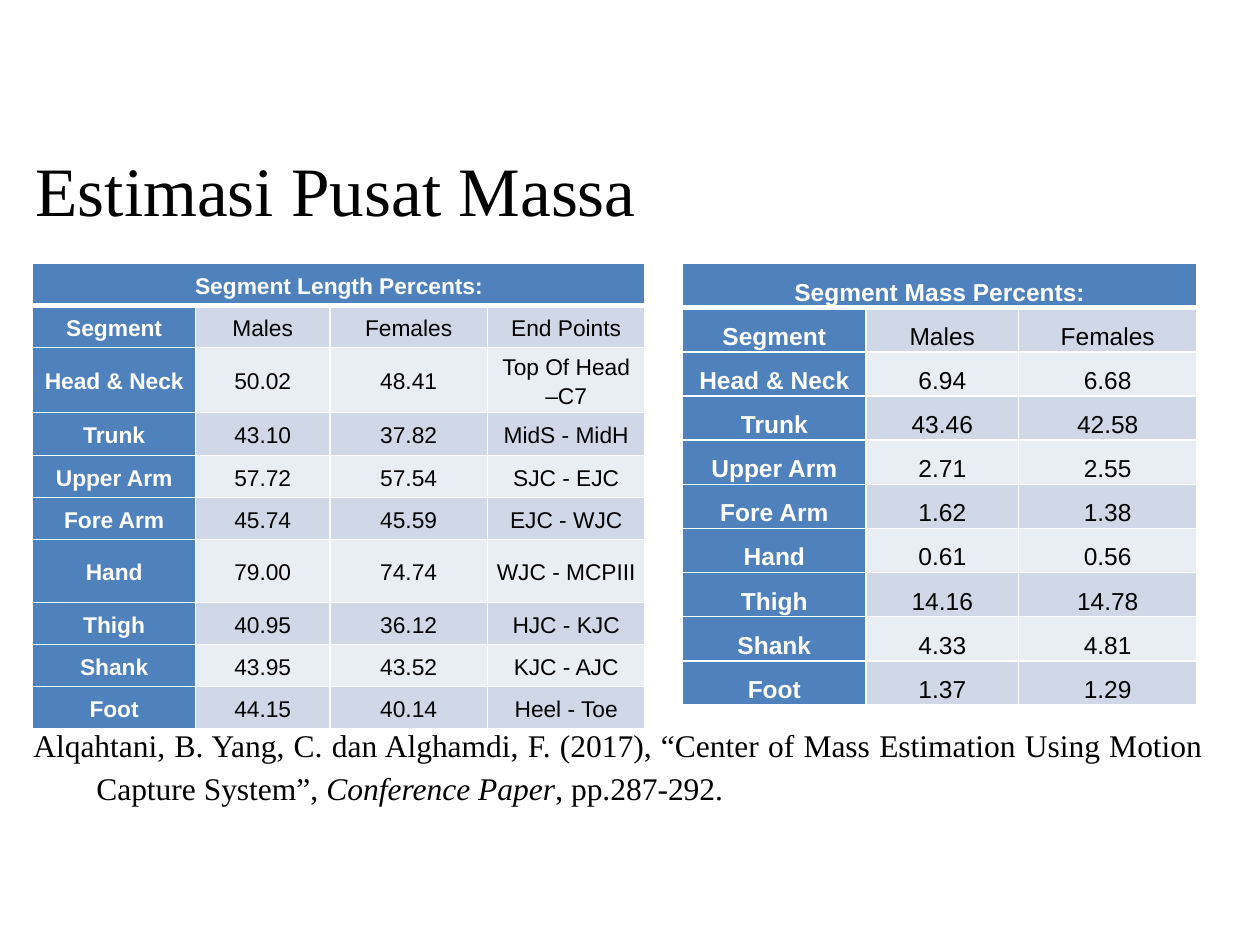
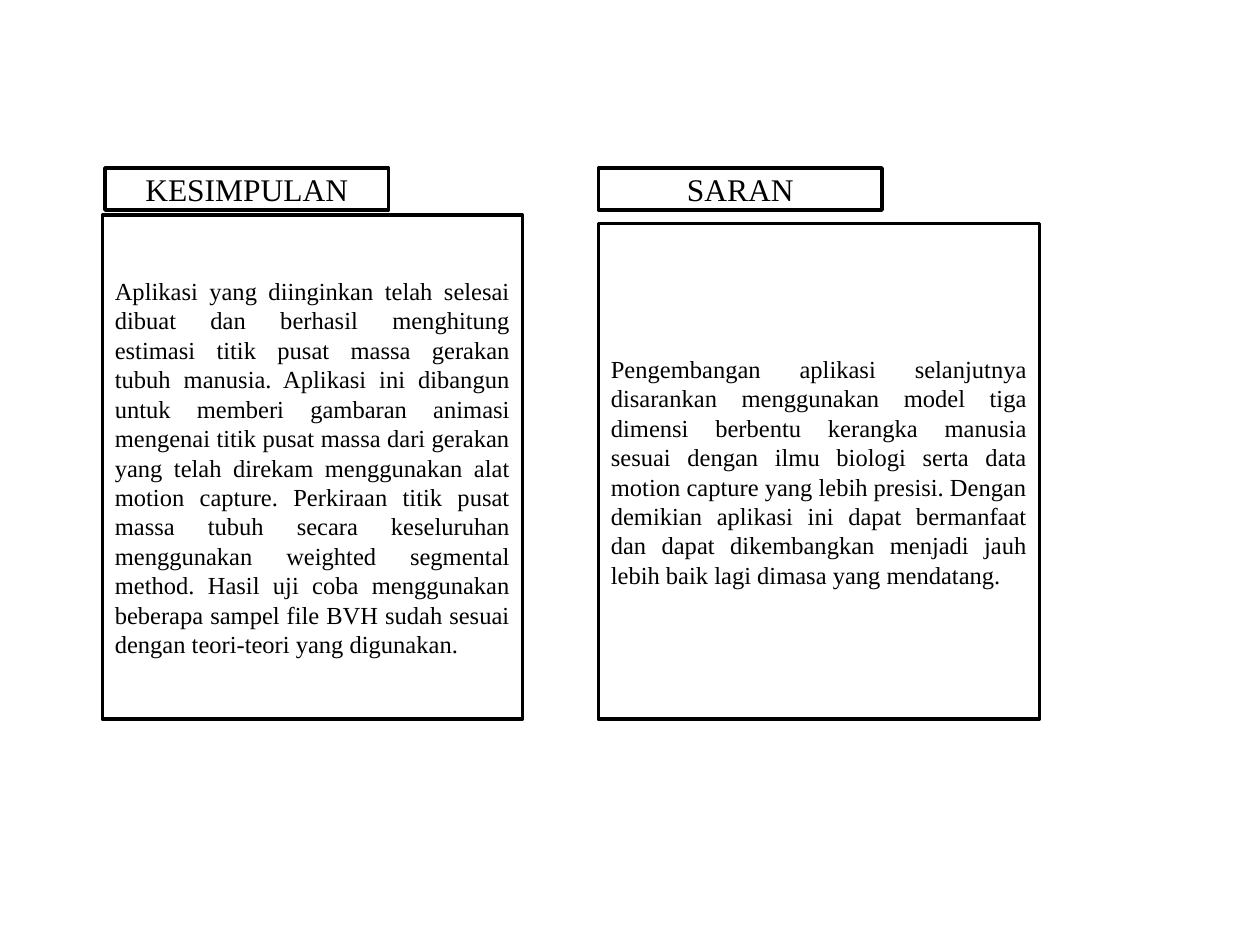
from dataclasses import dataclass

from lxml.etree import SubElement
from pptx import Presentation
from pptx.dml.color import RGBColor
from pptx.enum.shapes import MSO_SHAPE
from pptx.enum.text import MSO_ANCHOR as Anchor, MSO_AUTO_SIZE as AutoSize, PP_ALIGN as Align
from pptx.oxml.ns import qn
from pptx.util import Inches, Pt

PAGE_WIDTH, PAGE_HEIGHT = Inches(10), Inches(7.5)
GRID_COLUMNS, GRID_ROWS = 120, 90
SERIF, SANS = "Times New Roman", "Arial"
BLACK, WHITE = "000000", "FFFFFF"
BLUE, BAND_DARK, BAND_LIGHT = "4F81BD", "D0D8E8", "E9EDF4"


@dataclass(frozen=True)
class Area:
    """A rectangle in columns and rows of the page grid."""
    left: float
    top: float
    width: float
    height: float

    def lengths(self) -> tuple:
        """Return left, top, width and height as slide lengths."""
        return (across(self.left), down(self.top), across(self.width), down(self.height))


@dataclass(frozen=True)
class Span:
    """A stretch of text in one style."""
    words: str
    size: float
    font: str = SERIF
    color: str = BLACK
    bold: bool = False
    italic: bool = False


@dataclass(frozen=True)
class SegmentTable:
    """A table of body segment percentages."""
    heading: str
    left: float
    columns: tuple
    heights: tuple
    size: float
    spacing: float
    rows: tuple


@dataclass(frozen=True)
class Panel:
    """A short label above a framed paragraph."""
    label: str
    label_area: Area
    body: str
    body_area: Area


LENGTHS = SegmentTable(
    "Segment Length Percents:", 3.12, (15.5, 12.8, 15, 15),
    (4, 4, 6.2, 4.1, 4, 4, 6, 4, 4, 4), 13, 1.15,
    (
        ("Segment", "Males", "Females", "End Points"),
        ("Head & Neck", "50.02", "48.41", "Top Of Head –C7"),
        ("Trunk", "43.10", "37.82", "MidS - MidH"),
        ("Upper Arm", "57.72", "57.54", "SJC - EJC"),
        ("Fore Arm", "45.74", "45.59", "EJC - WJC"),
        ("Hand", "79.00", "74.74", "WJC - MCPIII"),
        ("Thigh", "40.95", "36.12", "HJC - KJC"),
        ("Shank", "43.95", "43.52", "KJC - AJC"),
        ("Foot", "44.15", "40.14", "Heel - Toe"),
    ),
)
MASSES = SegmentTable(
    "Segment Mass Percents:", 65, (17.5, 14.5, 17), (4.2,) * 10, 14, 1.5,
    (
        ("Segment", "Males", "Females"),
        ("Head & Neck", "6.94", "6.68"),
        ("Trunk", "43.46", "42.58"),
        ("Upper Arm", "2.71", "2.55"),
        ("Fore Arm", "1.62", "1.38"),
        ("Hand", "0.61", "0.56"),
        ("Thigh", "14.16", "14.78"),
        ("Shank", "4.33", "4.81"),
        ("Foot", "1.37", "1.29"),
    ),
)
PANELS = (
    Panel(
        "KESIMPULAN", Area(10, 16, 27, 4),
        "Aplikasi yang diinginkan telah selesai dibuat dan berhasil menghitung estimasi titik "
        "pusat massa gerakan tubuh manusia. Aplikasi ini dibangun untuk memberi gambaran animasi "
        "mengenai titik pusat massa dari gerakan yang telah direkam menggunakan alat motion "
        "capture. Perkiraan titik pusat massa tubuh secara keseluruhan menggunakan weighted "
        "segmental method. Hasil uji coba menggunakan beberapa sampel file BVH sudah sesuai "
        "dengan teori-teori yang digunakan.",
        Area(9.75, 20.5, 40, 48),
    ),
    Panel(
        "SARAN", Area(57, 16, 27, 4),
        "Pengembangan aplikasi selanjutnya disarankan menggunakan model tiga dimensi berbentu "
        "kerangka manusia sesuai dengan ilmu biologi serta data motion capture yang lebih "
        "presisi. Dengan demikian aplikasi ini dapat bermanfaat dan dapat dikembangkan menjadi "
        "jauh lebih baik lagi dimasa yang mendatang.",
        Area(57, 21.3, 42, 47.2),
    ),
)
REFERENCE = (
    Span("Alqahtani, B. Yang, C. dan Alghamdi, F. (2017), “Center of Mass Estimation Using "
         "Motion Capture System”, ", 18),
    Span("Conference Paper", 18, italic=True),
    Span(", pp.287-292.", 18),
)


def across(columns: float) -> int:
    """Turn grid columns into a length."""
    return round(PAGE_WIDTH * columns / GRID_COLUMNS)


def down(rows: float) -> int:
    """Turn grid rows into a length."""
    return round(PAGE_HEIGHT * rows / GRID_ROWS)


def paint(color_format, color: str) -> None:
    """Set a colour from a hex string."""
    color_format.rgb = RGBColor.from_string(color)


def fill_solid(target, color: str) -> None:
    """Give a shape or a cell a plain fill."""
    target.fill.solid()
    paint(target.fill.fore_color, color)


def write(frame, spans: tuple, align: Align, anchor: Anchor = Anchor.MIDDLE):
    """Write one paragraph run by run and return it."""
    frame.word_wrap = True
    frame.vertical_anchor = anchor
    para = frame.paragraphs[0]
    para.alignment = align
    for span in spans:
        run = para.add_run()
        run.text = span.words
        run.font.name, run.font.size = span.font, Pt(span.size)
        run.font.bold, run.font.italic = span.bold, span.italic
        paint(run.font.color, span.color)
    return para


def add_text(page, area: Area, spans: tuple, align: Align, anchor: Anchor = Anchor.MIDDLE):
    """Add a text box and return its frame and paragraph."""
    frame = page.shapes.add_textbox(*area.lengths()).text_frame
    return frame, write(frame, spans, align, anchor)


def add_frame(page, area: Area, span: Span, align: Align) -> None:
    """Add a white rectangle with a black outline and text."""
    box = page.shapes.add_shape(MSO_SHAPE.RECTANGLE, *area.lengths())
    box.shadow.inherit = False
    fill_solid(box, WHITE)
    paint(box.line.color, BLACK)
    box.line.width = Pt(2)
    write(box.text_frame, (span,), align)


def add_borders(cell, top: float, bottom: float) -> None:
    """Draw white borders round a cell."""
    properties = cell._tc.get_or_add_tcPr()
    for side, points in (("L", 1), ("R", 1), ("T", top), ("B", bottom)):
        edge = SubElement(properties, qn(f"a:ln{side}"), w=str(Pt(points)))
        SubElement(SubElement(edge, qn("a:solidFill")), qn("a:srgbClr"), val=WHITE)


def add_segment_table(page, data: SegmentTable) -> None:
    """Add a table with a merged heading and banded rows."""
    area = Area(data.left, 25.1, sum(data.columns), sum(data.heights))
    table = page.shapes.add_table(len(data.heights), len(data.columns), *area.lengths()).table
    table.horz_banding = table.first_row = False
    for column, width in zip(table.columns, data.columns):
        column.width = across(width)
    for row, height in zip(table.rows, data.heights):
        row.height = down(height)
    table.cell(0, 0).merge(table.cell(0, len(data.columns) - 1))
    heading = (data.heading,) + ("",) * (len(data.columns) - 1)
    for row_index, words in enumerate((heading,) + data.rows):
        band = BAND_DARK if row_index % 2 else BAND_LIGHT
        for column_index, word in enumerate(words):
            strong = row_index == 0 or column_index == 0
            cell = table.cell(row_index, column_index)
            add_borders(cell, 3 if row_index == 1 else 1, 3 if row_index == 0 else 1)
            fill_solid(cell, BLUE if strong else band)
            cell.margin_left = cell.margin_right = across(0.9)
            cell.margin_top = cell.margin_bottom = 0
            cell.vertical_anchor = Anchor.MIDDLE
            if word:
                span = Span(word, data.size, SANS, WHITE if strong else BLACK, strong)
                para = write(cell.text_frame, (span,), Align.CENTER)
                para.line_spacing = data.spacing


def build_estimation(page) -> None:
    """Build the slide with both segment tables."""
    add_text(page, Area(1, 14, 62, 8), (Span("Estimasi Pusat Massa", 39.6),), Align.CENTER)
    frame, para = add_text(page, Area(2, 68, 113.8, 9.6), REFERENCE, Align.JUSTIFY, Anchor.TOP)
    frame.auto_size = AutoSize.SHAPE_TO_FIT_TEXT
    para.line_spacing, para.space_after = 1.15, Pt(10)
    indent = para._p.get_or_add_pPr()
    indent.set("marL", str(across(6)))
    indent.set("indent", str(-across(6)))
    for data in (MASSES, LENGTHS):
        add_segment_table(page, data)


def build_conclusion(page) -> None:
    """Build the slide with the conclusion and the advice."""
    for panel in PANELS:
        add_frame(page, panel.body_area, Span(panel.body, 14), Align.JUSTIFY)
        add_frame(page, panel.label_area, Span(panel.label, 18), Align.CENTER)


def main() -> None:
    """Build and save the deck."""
    deck = Presentation()
    deck.slide_width, deck.slide_height = PAGE_WIDTH, PAGE_HEIGHT
    for build in (build_estimation, build_conclusion):
        build(deck.slides.add_slide(deck.slide_layouts[6]))
    deck.save("out.pptx")


if __name__ == "__main__":
    main()
